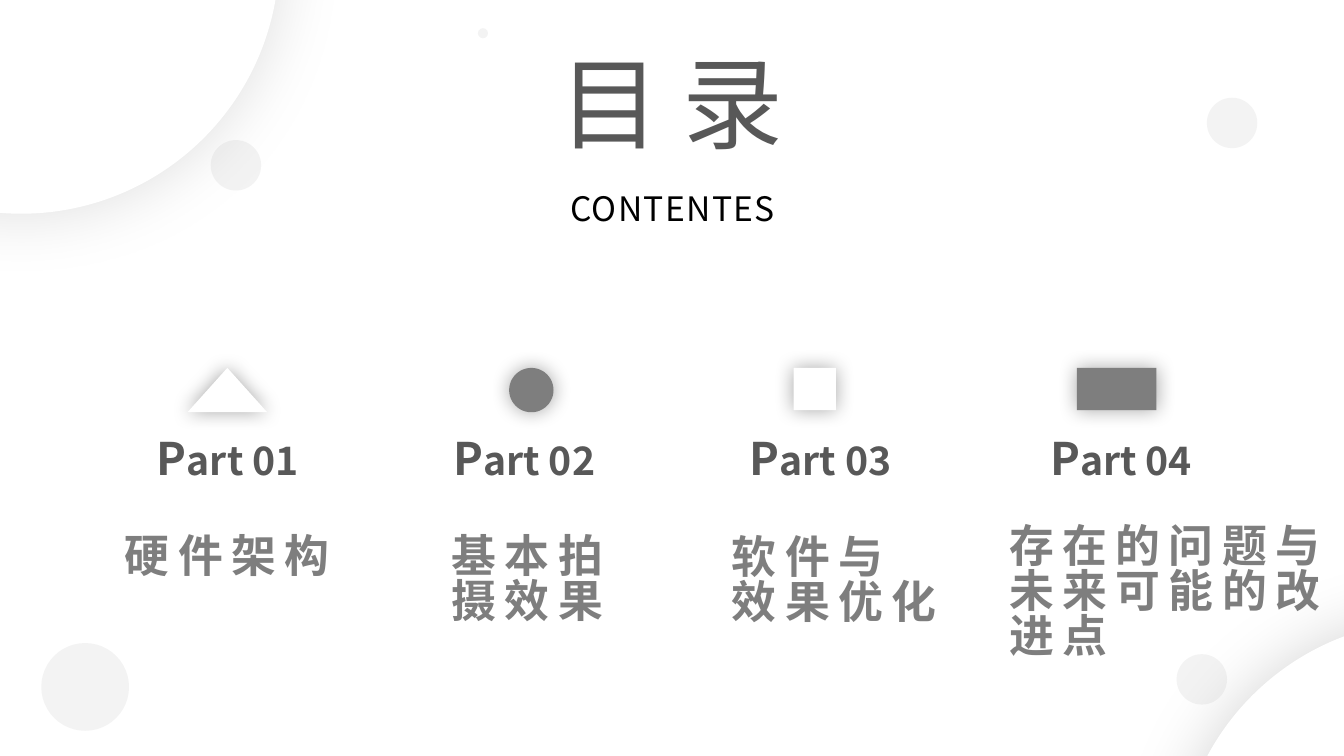
from lxml import etree
from pptx import Presentation, util as u
from pptx.dml.color import RGBColor
from pptx.enum import shapes, text
from pptx.oxml import ns

COLORS = {"white": "FFFFFF", "gray": "7E7E7E", "dark": "585858", "black": "000000"}
FONT = "Noto Sans CJK SC"
LINE_SPACING = 0.83
SHAPES = shapes.MSO_SHAPE
PARTS = [
    (SHAPES.ISOSCELES_TRIANGLE, "white", (1.86, 3.65, 0.79, 0.44), 1.41,
     (1.14, 5.28, 2.4, 0.64), ["硬件架构"]),
    (SHAPES.OVAL, "gray", (5.05, 3.65, 0.44, 0.44), 4.35,
     (4.38, 5.28, 2.21, 1.18), ["基本拍摄效果"]),
    (SHAPES.RECTANGLE, "white", (7.87, 3.65, 0.42, 0.42), 7.29,
     (7.16, 5.29, 2.52, 1.18), ["软件与", "效果优化"]),
    (SHAPES.RECTANGLE, "gray", (10.68, 3.65, 0.79, 0.42), 10.27,
     (9.91, 5.18, 3.52, 1.72), ["存在的问题与", "未来可能的改进点"]),
]
DOTS = [(11.67 + 0.3, 0.97, 0.5), (0.41, 6.38, 0.87), (4.74, 0.28, 0.1),
        (2.09, 1.39, 0.5), (11.67, 6.49, 0.5)]


def add_element(parent, tag, **attributes):
    """Append a DrawingML element and return it."""
    element = etree.SubElement(parent, ns.qn(tag))
    for name, value in attributes.items():
        element.set(name, str(value))
    return element


def add_figure(slide, kind, box, color, alpha=None, glow=None):
    """Add a borderless shape, with optional opacity and (opacity, blur) shadow."""
    shape = slide.shapes.add_shape(kind, *map(u.Inches, box))
    shape.shadow.inherit = False
    shape.fill.solid()
    shape.fill.fore_color.rgb = RGBColor.from_string(COLORS[color])
    shape.line.fill.background()
    properties = shape._element.spPr
    if alpha:
        fill = properties.find(".//" + ns.qn("a:srgbClr"))
        add_element(fill, "a:alpha", val=alpha * 1000)
    if glow:
        opacity, blur = glow
        effects = properties.find(ns.qn("a:effectLst"))
        shadow = add_element(effects, "a:outerShdw", blurRad=u.Pt(blur),
                             dist=0, dir=0, algn="ctr", rotWithShape=0)
        shade = add_element(shadow, "a:srgbClr", val=COLORS["black"])
        add_element(shade, "a:alpha", val=opacity * 1000)


def add_run(paragraph, words, size, color, bold=False, spacing=0):
    """Add one formatted run to a paragraph."""
    run = paragraph.add_run()
    run.text = words
    run.font.size = u.Pt(size)
    run.font.bold = bold
    run.font.name = FONT
    run.font.color.rgb = RGBColor.from_string(COLORS[color])
    properties = run._r.get_or_add_rPr()
    add_element(properties, "a:ea", typeface=FONT)
    if spacing:
        properties.set("spc", str(spacing * 100))


def add_text(slide, box, lines, centered=True, **style):
    """Add a text box whose lines are lists of (words, size) runs."""
    frame = slide.shapes.add_textbox(*map(u.Inches, box)).text_frame
    frame.word_wrap = True
    for index, runs in enumerate(lines):
        paragraph = frame.paragraphs[0] if index == 0 else frame.add_paragraph()
        paragraph.line_spacing = LINE_SPACING
        paragraph.alignment = text.PP_ALIGN.CENTER if centered else text.PP_ALIGN.LEFT
        for words, size in runs:
            add_run(paragraph, words, size, **style)


def main():
    """Build the contents slide."""
    presentation = Presentation()
    presentation.slide_width = u.Inches(13.33)
    presentation.slide_height = u.Inches(7.5)
    slide = presentation.slides.add_slide(presentation.slide_layouts[6])

    add_figure(slide, SHAPES.OVAL, (-2.35, -3, 5.12, 5.12), "white", glow=(13, 49))
    add_text(slide, (4.1, 0.56, 5.12, 1.31), [[("目 录", 72)]], color="dark")
    add_figure(slide, SHAPES.OVAL, (11.67, 6.15, 5.12, 5.12), "white", glow=(17, 49))
    add_text(slide, (4.25, 1.88, 4.84, 0.5), [[("CONTENTES", 24)]],
             color="black", spacing=1)

    for number, (kind, color, icon, left, box, lines) in enumerate(PARTS, 1):
        add_figure(slide, kind, icon, color, glow=(35, 14))
        add_text(slide, (left, 4.31, 1.7, 0.64),
                 [[("P", 32), (f"art {number:02}", 28)]], color="dark", bold=True)
        add_text(slide, box, [[(line, 32)] for line in lines], centered=False,
                 color="gray", bold=True, spacing=6)

    for left, top, size in DOTS:
        add_figure(slide, SHAPES.OVAL, (left, top, size, size), "gray", alpha=9)

    presentation.save("out.pptx")


if __name__ == "__main__":
    main()
